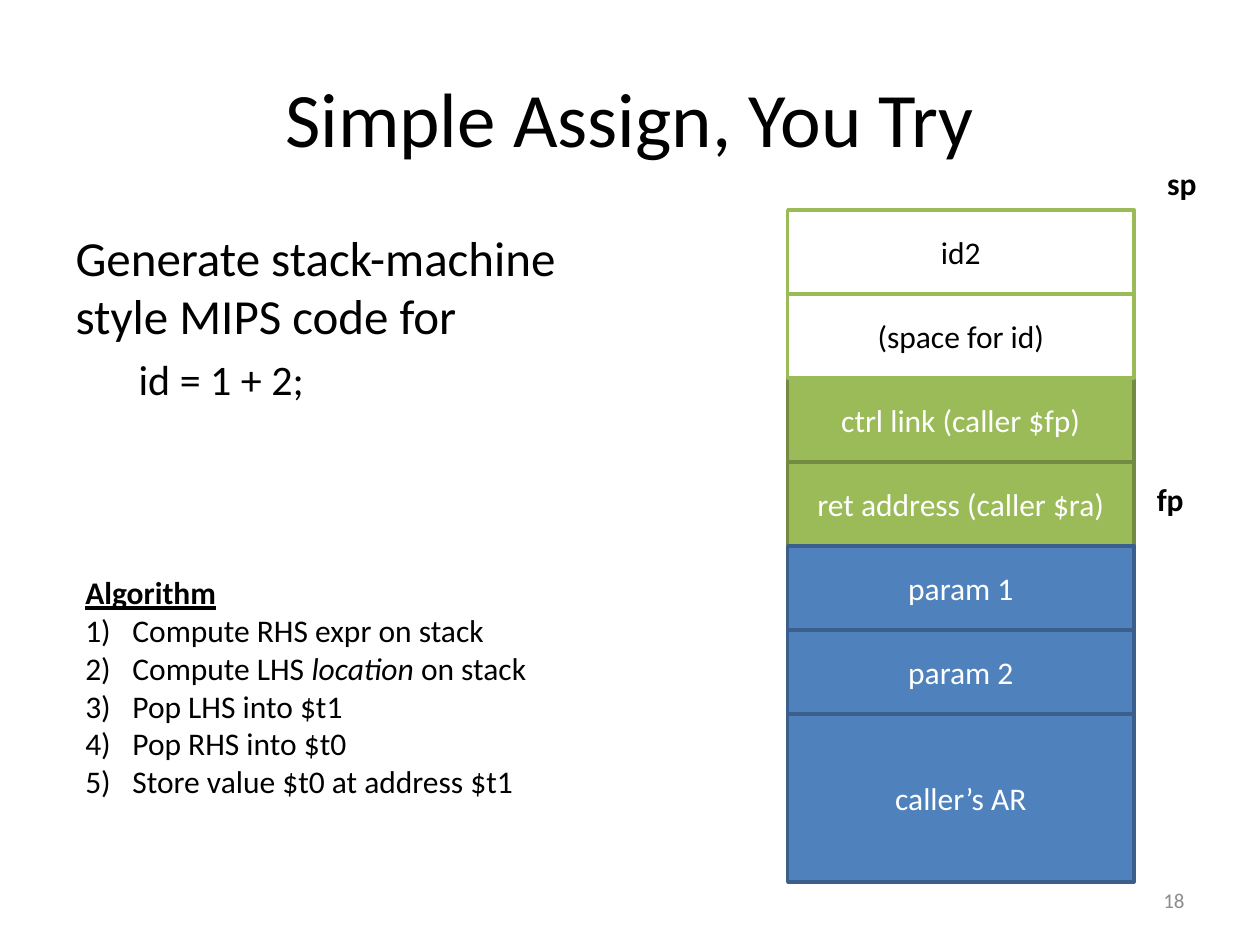
from dataclasses import dataclass

from lxml import etree
from pptx import Presentation
from pptx.dml.color import RGBColor
from pptx.enum import shapes, text
from pptx.oxml import ns
from pptx.util import Cm, Pt

FONT = "Calibri"
COLORS = {
    "black": "000000",
    "white": "FFFFFF",
    "gray": "8C8C8C",
    "blue": "4F81BD",
    "dark blue": "3A5F8C",
    "green": "9BBB59",
    "dark green": "738A42",
}

STACK_LEFT, STACK_WIDTH = 15.88, 6.98
STACK_TOP, STACK_BOTTOM = 4.23, 17.78
SLOT_COUNT = 8
SLOT_HEIGHT = (STACK_BOTTOM - STACK_TOP) / SLOT_COUNT


@dataclass
class StackCell:
    label: str
    first_slot: int
    fill: str
    line: str
    font: str = "white"
    slots: int = 1


@dataclass
class Label:
    words: str
    left: float
    top: float
    width: float
    height: float


# Each group runs from the bottom up, so upper borders cover lower ones.
CALLEE_CELLS = [
    StackCell("ret address (caller $ra)", 3, "green", "dark green"),
    StackCell("ctrl link (caller $fp)", 2, "green", "dark green"),
    StackCell("(space for id)", 1, "white", "green", "black"),
    StackCell("id2", 0, "white", "green", "black"),
]
CALLER_CELLS = [
    StackCell("caller’s AR", 6, "blue", "dark blue", slots=2),
    StackCell("param 2", 5, "blue", "dark blue"),
    StackCell("param 1", 4, "blue", "dark blue"),
]
POINTERS = [
    Label("sp", 23.28, 3.18, 1.27, 1.03),
    Label("fp", 23.07, 9.55, 1.27, 1.03),
]
ALGORITHM_STEPS = [
    [("Compute RHS expr on stack", False)],
    [("Compute LHS ", False), ("location", True), (" on stack", False)],
    [("Pop LHS into $t1", False)],
    [("Pop RHS into $t0", False)],
    [("Store value $t0 at address $t1", False)],
]


def color(name: str) -> RGBColor:
    return RGBColor.from_string(COLORS[name])


def place(shape, left: float, top: float, width: float, height: float) -> None:
    shape.left, shape.top = Cm(left), Cm(top)
    shape.width, shape.height = Cm(width), Cm(height)


def write(paragraph, words: str, *, size: float = 18, fill: str = "black", bold: bool = False,
          italic: bool = False, underline: bool = False, align=None) -> None:
    """Append one formatted run to the paragraph."""
    run = paragraph.add_run()
    run.text = words
    font = run.font
    font.name, font.size = FONT, Pt(size)
    font.bold, font.italic, font.underline = bold, italic, underline
    font.color.rgb = color(fill)
    if align is not None:
        paragraph.alignment = align


def set_bullet(paragraph, margin: float, hanging: float = 0, numbering: str = "") -> None:
    """Set the indent, with automatic numbering or no bullet at all."""
    properties = paragraph._p.get_or_add_pPr()
    properties.set("marL", str(Cm(margin)))
    properties.set("indent", str(-Cm(hanging)))
    if numbering:
        bullet = etree.SubElement(properties, ns.qn("a:buAutoNum"))
        bullet.set("type", numbering)
    else:
        etree.SubElement(properties, ns.qn("a:buNone"))


def add_text_box(slide, left: float, top: float, width: float, height: float, wrap: bool = True):
    box = slide.shapes.add_textbox(Cm(left), Cm(top), Cm(width), Cm(height))
    box.text_frame.word_wrap = wrap
    return box.text_frame


def add_stack_cell(slide, cell: StackCell) -> None:
    shape = slide.shapes.add_shape(
        shapes.MSO_SHAPE.RECTANGLE,
        Cm(STACK_LEFT), Cm(STACK_TOP + cell.first_slot * SLOT_HEIGHT),
        Cm(STACK_WIDTH), Cm(cell.slots * SLOT_HEIGHT),
    )
    shape.shadow.inherit = False
    shape.fill.solid()
    shape.fill.fore_color.rgb = color(cell.fill)
    shape.line.color.rgb = color(cell.line)
    shape.line.width = Pt(2)
    shape.text_frame.vertical_anchor = text.MSO_ANCHOR.MIDDLE
    write(shape.text_frame.paragraphs[0], cell.label, fill=cell.font, align=text.PP_ALIGN.CENTER)


def add_task(slide) -> None:
    title, body = slide.shapes.title, slide.placeholders[1]
    place(title, 1.27, 0.76, 22.86, 3.18)
    title.text_frame.vertical_anchor = text.MSO_ANCHOR.MIDDLE
    write(title.text_frame.paragraphs[0], "Simple Assign, You Try", size=44,
          align=text.PP_ALIGN.CENTER)

    place(body, 1.27, 4.45, 11.23, 12.57)
    frame = body.text_frame
    frame.auto_size = text.MSO_AUTO_SIZE.NONE
    request = frame.paragraphs[0]
    request.space_before = Pt(0)
    set_bullet(request, 0)
    write(request, "Generate stack-machine style MIPS code for", size=28)
    statement = frame.add_paragraph()
    statement.level = 1
    set_bullet(statement, 1.27)
    write(statement, "id = 1 + 2;", size=24)


def add_algorithm(slide) -> None:
    frame = add_text_box(slide, 1.47, 11.43, 9.5, 4.88, wrap=False)
    write(frame.paragraphs[0], "Algorithm", bold=True, underline=True)
    for step in ALGORITHM_STEPS:
        paragraph = frame.add_paragraph()
        set_bullet(paragraph, 0.95, 0.95, "arabicParenR")
        for words, italic in step:
            write(paragraph, words, italic=italic)


def add_slide_number(slide) -> None:
    frame = add_text_box(slide, 18.2, 17.65, 5.93, 1.01)
    frame.vertical_anchor = text.MSO_ANCHOR.MIDDLE
    write(frame.paragraphs[0], "18", size=12, fill="gray", align=text.PP_ALIGN.RIGHT)


def main() -> None:
    presentation = Presentation()
    presentation.slide_width, presentation.slide_height = Cm(25.4), Cm(19.05)
    slide = presentation.slides.add_slide(presentation.slide_layouts[1])

    add_task(slide)
    add_slide_number(slide)
    add_algorithm(slide)
    for cell in CALLEE_CELLS + CALLER_CELLS:
        add_stack_cell(slide, cell)
    for pointer in POINTERS:
        frame = add_text_box(slide, pointer.left, pointer.top, pointer.width, pointer.height)
        write(frame.paragraphs[0], pointer.words, bold=True)

    presentation.save("out.pptx")


if __name__ == "__main__":
    main()
